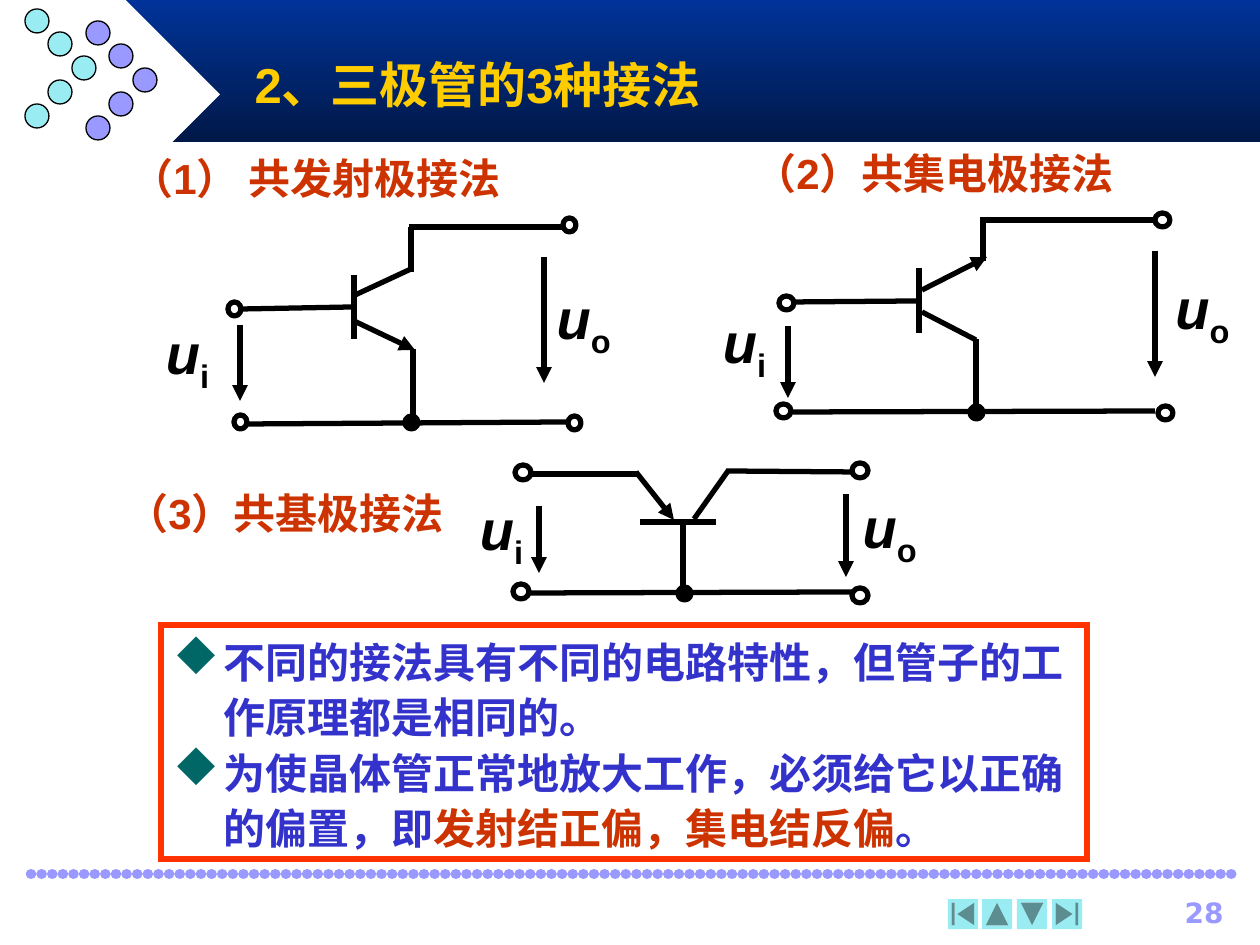
from lxml import etree
from pptx import Presentation
from pptx.dml.color import RGBColor
from pptx.enum.shapes import MSO_CONNECTOR, MSO_SHAPE
from pptx.enum.text import MSO_ANCHOR, PP_ALIGN
from pptx.oxml.ns import qn
from pptx.util import Pt

SCALE = 914400 / 126
LINE = MSO_CONNECTOR.STRAIGHT
RECT, OVAL, DIAMOND = MSO_SHAPE.RECTANGLE, MSO_SHAPE.OVAL, MSO_SHAPE.DIAMOND
FIRST, LAST = MSO_SHAPE.ACTION_BUTTON_BEGINNING, MSO_SHAPE.ACTION_BUTTON_END
BACK, NEXT = (MSO_SHAPE.ACTION_BUTTON_BACK_OR_PREVIOUS,
              MSO_SHAPE.ACTION_BUTTON_FORWARD_OR_NEXT)
LEFT, MID, RIGHT = PP_ALIGN.LEFT, PP_ALIGN.CENTER, PP_ALIGN.RIGHT
BLACK = RGBColor(0, 0, 0)
WHITE = RGBColor(255, 255, 255)
NAVY = RGBColor(0x00, 0x33, 0x99)
DARK = RGBColor(0x00, 0x18, 0x47)
LILAC = RGBColor(0x99, 0x99, 0xFF)
CYAN = RGBColor(0x98, 0xEC, 0xF2)
GOLD = RGBColor(0xFF, 0xCC, 0x00)
RUST = RGBColor(0xCC, 0x33, 0x00)
BLUE = RGBColor(0x33, 0x33, 0xCC)
RED = RGBColor(0xFF, 0x33, 0x00)
TEAL = RGBColor(0x00, 0x66, 0x66)

HEADS = [("（1） 共发射极接法", 119, 146, 428),
         ("（2）共集电极接法", 742, 141, 489),
         ("（3）共基极接法", 114, 481, 411)]
NOTES = [[("不同的接法具有不同的电路特性，但管子的工作原理都是相同的。", BLUE)],
         [("为使晶体管正常地放大工作，必须给它以正确的偏置，即", BLUE),
          ("发射结正偏，集电结反偏", RUST), ("。", BLUE)]]

EMITTER = {
    "wires": [(241, 309, 352, 307), (354, 275, 354, 339), (353, 296, 411, 269),
              (413, 349, 413, 422), (411, 227, 411, 272), (409, 227, 564, 227),
              (246, 424, 568, 422)],
    "arrows": [(354, 321, 415, 350), (240, 325, 240, 401), (544, 257, 544, 383)],
    "signs": [("i", 142, 312, 91), ("o", 544, 277, 79)],
    "ring": (13, 14),
    "ends": [(563, 218), (568, 416), (234, 415), (228, 302)],
    "node": (405, 416),
}
COLLECT = {
    "wires": [(794, 302, 916, 301), (919, 268, 919, 333), (922, 312, 976, 340),
              (976, 339, 976, 412), (983, 220, 983, 261), (980, 220, 1153, 220),
              (793, 412, 1155, 411)],
    "arrows": [(922, 290, 987, 257), (788, 326, 788, 398),
               (1155, 251, 1155, 377)],
    "signs": [("i", 694, 301, 101), ("o", 1157, 267, 91)],
    "ring": (15, 14),
    "ends": [(1155, 213), (1158, 406), (776, 404), (779, 296)],
    "node": (970, 406),
}
BASE = {
    "wires": [(528, 474, 639, 474), (640, 522, 716, 522), (728, 471, 694, 519),
              (683, 520, 683, 593), (726, 471, 853, 472), (528, 593, 852, 592)],
    "arrows": [(636, 472, 674, 520), (539, 506, 539, 573), (846, 494, 846, 577)],
    "signs": [("i", 456, 488, 91), ("o", 850, 486, 79)],
    "ring": (16, 15),
    "ends": [(515, 465), (513, 584), (852, 588), (852, 463)],
    "node": (678, 587),
}


def px(*nums):
    return [round(n * SCALE) for n in nums]


def add_form(slide, kind, box, fill=None, line=None, width=0.75):
    form = slide.shapes.add_shape(kind, *px(*box))
    form.shadow.inherit = False
    if fill is None:
        form.fill.background()
    else:
        form.fill.solid()
        form.fill.fore_color.rgb = fill
    if line is None:
        form.line.fill.background()
    else:
        form.line.color.rgb = line
        form.line.width = Pt(width)
    return form


def add_wire(slide, ends, color=BLACK, width=3, arrow=False):
    wire = slide.shapes.add_connector(LINE, *px(*ends))
    wire.line.color.rgb = color
    wire.line.width = Pt(width)
    if arrow:
        etree.SubElement(wire.line._get_or_add_ln(), qn("a:tailEnd"),
                         type="triangle")
    etree.SubElement(wire._element.spPr, qn("a:effectLst"))
    return wire


def set_font(para, size, color, name="Arial"):
    para.font.name = name
    para.font.size = Pt(size)
    para.font.bold = True
    para.font.color.rgb = color


def add_text(slide, text, box, size, color, align=LEFT, name="Arial"):
    frame = slide.shapes.add_textbox(*px(*box)).text_frame
    frame.word_wrap = True
    para = frame.paragraphs[0]
    para.text = text
    para.alignment = align
    set_font(para, size, color, name)


def add_sign(slide, sub, left, top, width):
    frame = slide.shapes.add_textbox(*px(left, top, width, 89)).text_frame
    frame.word_wrap = False
    para = frame.paragraphs[0]
    para.alignment = MID
    set_font(para, 32, BLACK)
    main = para.add_run()
    main.text = "u"
    main.font.italic = True
    low = para.add_run()
    low.text = sub
    low.font._element.set("baseline", "-25000")


def add_net(slide, net):
    for ends in net["wires"]:
        add_wire(slide, ends)
    for ends in net["arrows"]:
        add_wire(slide, ends, arrow=True)
    for sign in net["signs"]:
        add_sign(slide, *sign)
    for spot in net["ends"]:
        add_form(slide, OVAL, spot + net["ring"], None, BLACK, 3)
    add_form(slide, OVAL, net["node"] + (13, 13), BLACK, BLACK, 3)


def add_rule(slide):
    rule = add_wire(slide, (31, 874, 1239, 874), LILAC, 6)
    stroke = rule.line._get_or_add_ln()
    stroke.set("cap", "rnd")
    dash = etree.SubElement(stroke, qn("a:custDash"))
    etree.SubElement(dash, qn("a:ds"), d="1000", sp="100000")


def add_frame(slide):
    band = add_form(slide, RECT, (126, 0, 1134, 142), NAVY)
    band.fill.gradient()
    band.fill.gradient_angle = 270
    for stop, color, place in zip(band.fill.gradient_stops, (NAVY, DARK), (0, 1)):
        stop.color.rgb = color
        stop.position = place
    add_form(slide, DIAMOND, (31, 0, 189, 189), WHITE)
    for left, top, color in ((86, 21, LILAC), (25, 9, CYAN)):
        for i in range(5):
            spot = (left + min(i, 4 - i) * 95 // 4, top + i * 95 // 4)
            add_form(slide, OVAL, spot + (24, 24), color, BLACK)
    add_rule(slide)
    for i, (kind, turn) in enumerate([(FIRST, 0), (BACK, 90), (NEXT, 90), (LAST, 0)]):
        key = add_form(slide, kind, (948 + i * 104 // 3, 899, 30, 30), CYAN)
        key.rotation = turn
    add_text(slide, "28", (1116, 889, 120, 42), 16, LILAC, RIGHT, "DejaVu Sans")


def add_title(slide):
    title = slide.shapes.title
    slide.shapes._spTree.append(title._element)
    title.left, title.top, title.width, title.height = px(242, 42, 945, 84)
    frame = title.text_frame
    frame.vertical_anchor = MSO_ANCHOR.MIDDLE
    para = frame.paragraphs[0]
    para.text = "2、三极管的3种接法"
    para.alignment = LEFT
    set_font(para, 28, GOLD)


def add_mark(para):
    prop = para._p.get_or_add_pPr()
    indent, = px(50)
    prop.set("marL", str(indent))
    prop.set("indent", str(-indent))
    tint = etree.SubElement(prop, qn("a:buClr"))
    etree.SubElement(tint, qn("a:srgbClr"), val=str(TEAL))
    etree.SubElement(prop, qn("a:buSzPct"), val="110000")
    etree.SubElement(prop, qn("a:buFont"), typeface="Wingdings", charset="2")
    etree.SubElement(prop, qn("a:buChar"), char="u")


def add_notes(slide):
    box = add_form(slide, RECT, (161, 625, 926, 234), None, RED, 3)
    etree.SubElement(box.line._get_or_add_ln(), qn("a:miter"), lim="800000")
    frame = box.text_frame
    frame.word_wrap = True
    frame.vertical_anchor = MSO_ANCHOR.TOP
    for i, note in enumerate(NOTES):
        para = frame.add_paragraph() if i else frame.paragraphs[0]
        add_mark(para)
        para.alignment = LEFT
        para.line_spacing = 1.1
        set_font(para, 24, BLUE)
        for text, color in note:
            run = para.add_run()
            run.text = text
            run.font.color.rgb = color


def main():
    deck = Presentation()
    deck.slide_width, deck.slide_height = px(1260, 945)
    slide = deck.slides.add_slide(deck.slide_layouts[5])
    add_frame(slide)
    add_title(slide)
    for text, left, top, width in HEADS:
        add_text(slide, text, (left, top, width, 63), 24, RUST)
    for net in (EMITTER, COLLECT, BASE):
        add_net(slide, net)
    add_notes(slide)
    deck.save("out.pptx")


if __name__ == "__main__":
    main()
